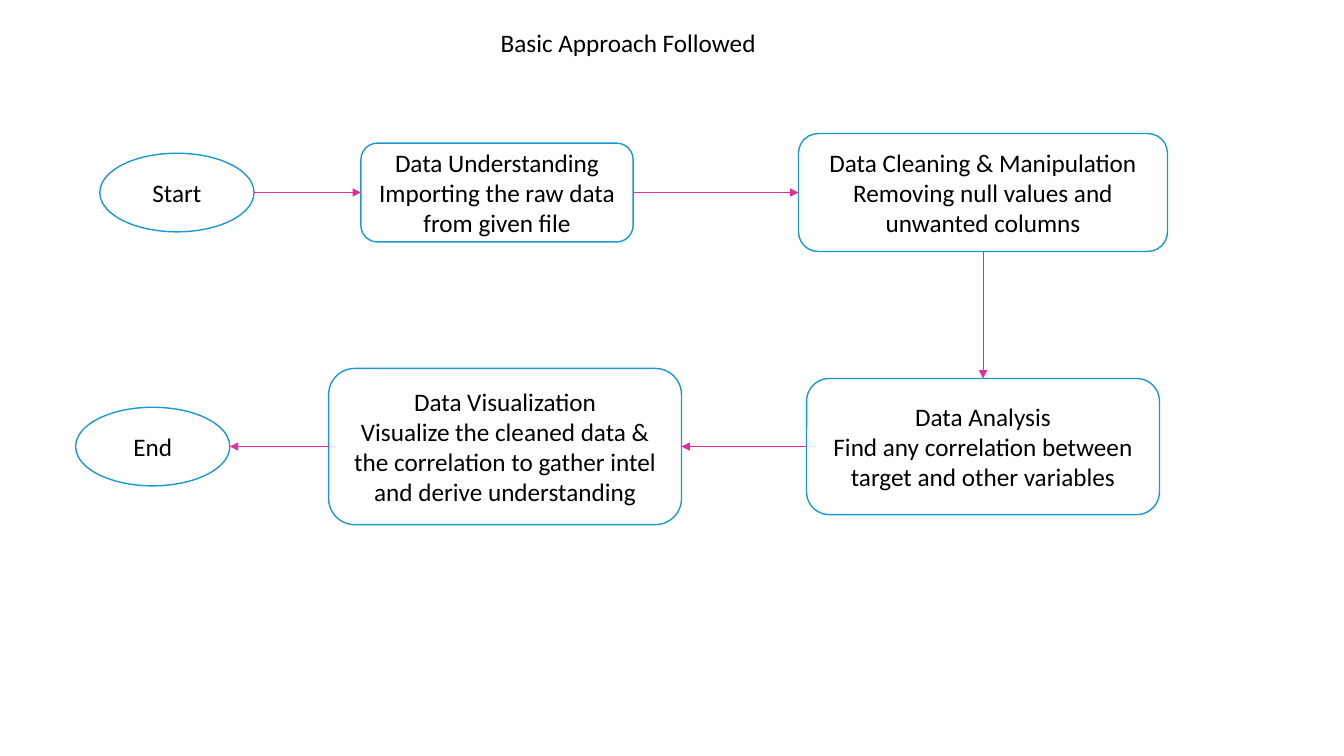
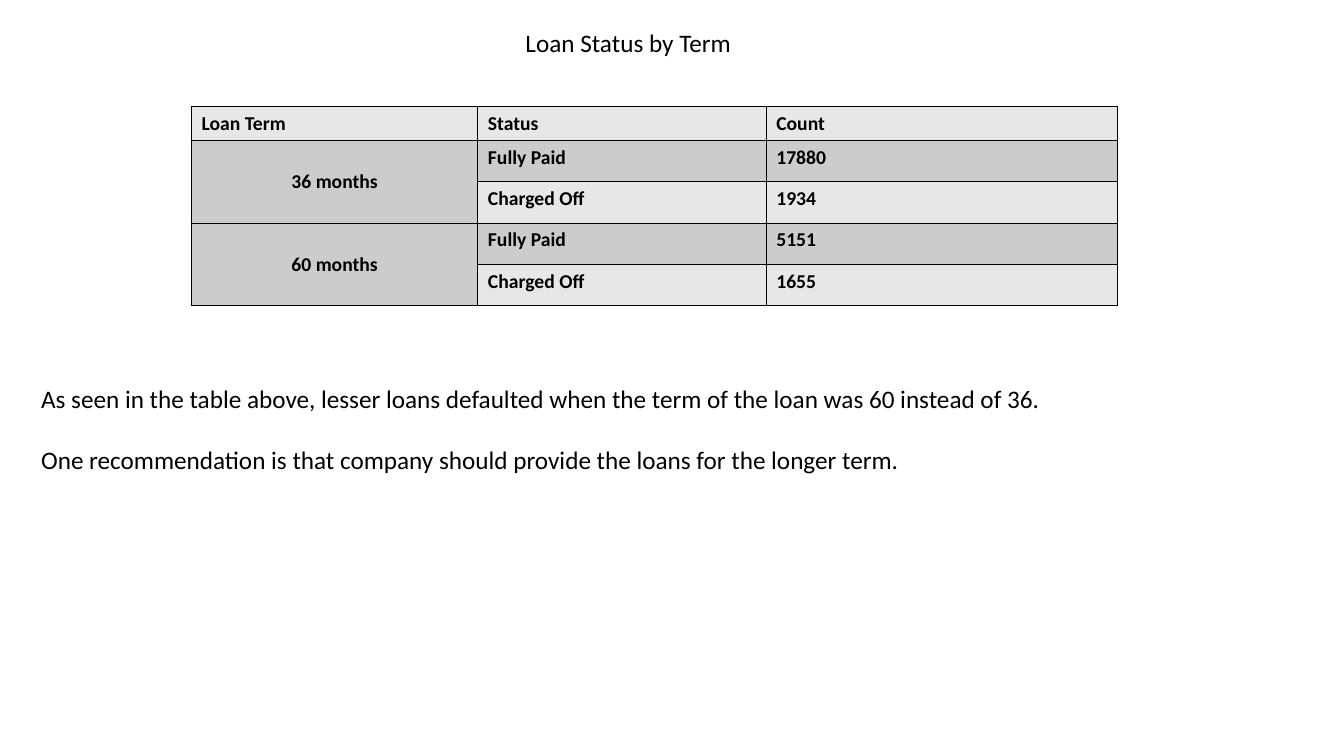
from lxml.etree import SubElement
from pptx import Presentation
from pptx.dml.color import RGBColor
from pptx.enum.shapes import MSO_CONNECTOR, MSO_SHAPE
from pptx.enum.text import MSO_ANCHOR, PP_ALIGN
from pptx.oxml.ns import qn
from pptx.util import Inches, Pt

FONT = "Calibri"
BLACK, WHITE = "000000", "FFFFFF"
OUTLINE, ARROW = "1B98D1", "E32D9B"
LIGHT_BAND, DARK_BAND = "E7E7E7", "CCCCCC"
TOP, LEFT, BOTTOM, RIGHT = range(4)
UPPER_ROW, LOWER_ROW = 1.91, 4.43


def color(value):
    """Turn a hex string into a colour."""
    return RGBColor.from_string(value)


def write(paragraph, text, size=18, align=PP_ALIGN.LEFT, bold=False):
    """Fill a paragraph with text in the shared font."""
    paragraph.text = text
    paragraph.alignment = align
    paragraph.font.name = FONT
    paragraph.font.size = Pt(size)
    paragraph.font.bold = bold
    paragraph.font.color.rgb = color(BLACK)


def add_text(slide, left, top, width, height, lines, align=PP_ALIGN.LEFT, gap=0):
    """Add a text box with one paragraph per line."""
    box = slide.shapes.add_textbox(*map(Inches, (left, top, width, height)))
    frame = box.text_frame
    frame.word_wrap = True
    for index, line in enumerate(lines):
        paragraph = frame.add_paragraph() if index else frame.paragraphs[0]
        write(paragraph, line, align=align)
        if index:
            paragraph.space_before = Pt(gap)


def add_titled_slide(deck, title):
    """Add a blank slide with the shared centred title."""
    slide = deck.slides.add_slide(deck.slide_layouts[6])
    add_text(slide, 3.49, 0.22, 5.48, 0.4, [title], PP_ALIGN.CENTER)
    return slide


def add_step(slide, kind, left, middle, width, height, text):
    """Add an outlined flowchart step centred on a row."""
    step = slide.shapes.add_shape(
        kind, *map(Inches, (left, middle - height / 2, width, height)))
    step.shadow.inherit = False
    step.fill.solid()
    step.fill.fore_color.rgb = color(WHITE)
    step.line.color.rgb = color(OUTLINE)
    step.line.width = Pt(1)
    step.text_frame.word_wrap = True
    step.text_frame.vertical_anchor = MSO_ANCHOR.MIDDLE
    write(step.text_frame.paragraphs[0], text, align=PP_ALIGN.CENTER)
    return step


def side_point(step, side):
    """Return the middle of one side of a step."""
    across = {LEFT: 0, RIGHT: step.width}.get(side, step.width // 2)
    down = {TOP: 0, BOTTOM: step.height}.get(side, step.height // 2)
    return step.left + across, step.top + down


def add_arrow(slide, source, source_side, target, target_side):
    """Draw an arrow between two steps and join it to the boxes."""
    arrow = slide.shapes.add_connector(
        MSO_CONNECTOR.STRAIGHT,
        *side_point(source, source_side), *side_point(target, target_side))
    if source.auto_shape_type == MSO_SHAPE.ROUNDED_RECTANGLE:
        arrow.begin_connect(source, source_side)
    if target.auto_shape_type == MSO_SHAPE.ROUNDED_RECTANGLE:
        arrow.end_connect(target, target_side)
    arrow.line.color.rgb = color(ARROW)
    arrow.line.width = Pt(0.5)
    SubElement(arrow.line._get_or_add_ln(), qn("a:tailEnd"), type="triangle")
    SubElement(arrow._element.spPr, qn("a:effectLst"))


def add_border(cell, edge, points):
    """Draw one black edge of a table cell."""
    line = SubElement(cell._tc.get_or_add_tcPr(), qn(f"a:ln{edge}"), w=str(Pt(points)))
    SubElement(SubElement(line, qn("a:solidFill")), qn("a:srgbClr"), val=BLACK)


def style_cell(cell, row, fill):
    """Give a cell its borders and fill, with a heavier rule under the header."""
    heavy_edge = {0: "B", 1: "T"}.get(row)
    for edge in "LRTB":
        add_border(cell, edge, 1.5 if edge == heavy_edge else 1)
    cell.fill.solid()
    cell.fill.fore_color.rgb = color(fill)


def add_loan_table(slide, left, top, widths, heights, rows):
    """Add the loan table, merging each term over its two statuses."""
    table = slide.shapes.add_table(
        len(rows), len(widths),
        *map(Inches, (left, top, sum(widths), sum(heights)))).table
    for column, width in zip(table.columns, widths):
        column.width = Inches(width)
    for table_row, height in zip(table.rows, heights):
        table_row.height = Inches(height)
    for row, values in enumerate(rows):
        for column, value in enumerate(values):
            cell = table.cell(row, column)
            is_term = row > 0 and column == 0
            style_cell(cell, row, DARK_BAND if is_term or row % 2 else LIGHT_BAND)
            if is_term and value:
                cell.merge(table.cell(row + 1, column))
                cell.vertical_anchor = MSO_ANCHOR.MIDDLE
            if value:
                align = PP_ALIGN.CENTER if is_term else PP_ALIGN.LEFT
                write(cell.text_frame.paragraphs[0], value, 14, align, bold=True)


def build_approach(deck):
    """Build the flowchart of the approach."""
    slide = add_titled_slide(deck, "Basic Approach Followed")
    oval, box = MSO_SHAPE.OVAL, MSO_SHAPE.ROUNDED_RECTANGLE
    start, understanding, cleaning, analysis, visualization, end = [
        add_step(slide, *step) for step in (
            (oval, 0.99, UPPER_ROW, 1.53, 0.78, "Start"),
            (box, 3.58, UPPER_ROW, 2.7, 0.98,
             "Data Understanding\nImporting the raw data from given file"),
            (box, 7.92, UPPER_ROW, 3.66, 1.17,
             "Data Cleaning & Manipulation\nRemoving null values and unwanted columns"),
            (box, 8, LOWER_ROW, 3.5, 1.35,
             "Data Analysis\nFind any correlation between target and other variables"),
            (box, 3.26, LOWER_ROW, 3.5, 1.55,
             "Data Visualization\nVisualize the cleaned data & the correlation "
             "to gather intel and derive understanding"),
            (oval, 0.75, LOWER_ROW, 1.53, 0.78, "End"),
        )]
    for flow in (
        (start, RIGHT, understanding, LEFT),
        (understanding, RIGHT, cleaning, LEFT),
        (cleaning, BOTTOM, analysis, TOP),
        (analysis, LEFT, visualization, RIGHT),
        (visualization, LEFT, end, RIGHT),
    ):
        add_arrow(slide, *flow)


def build_loan_status(deck):
    """Build the loan table with its conclusions."""
    slide = add_titled_slide(deck, "Loan Status by Term")
    add_loan_table(slide, 1.9, 1.06, [2.84, 2.86, 3.48], [0.33] + [0.41] * 4, [
        ("Loan Term", "Status", "Count"),
        ("36 months", "Fully Paid", "17880"),
        ("", "Charged Off", "1934"),
        ("60 months", "Fully Paid", "5151"),
        ("", "Charged Off", "1655"),
    ])
    add_text(slide, 0.31, 3.75, 11.37, 1.31, [
        "As seen in the table above, lesser loans defaulted when the term "
        "of the loan was 60 instead of 36.",
        "One recommendation is that company should provide the loans for the longer term.",
    ], gap=22)


def main():
    """Build and save the presentation."""
    deck = Presentation()
    deck.slide_width, deck.slide_height = Inches(13.33), Inches(7.5)
    build_approach(deck)
    build_loan_status(deck)
    deck.save("out.pptx")


if __name__ == "__main__":
    main()
